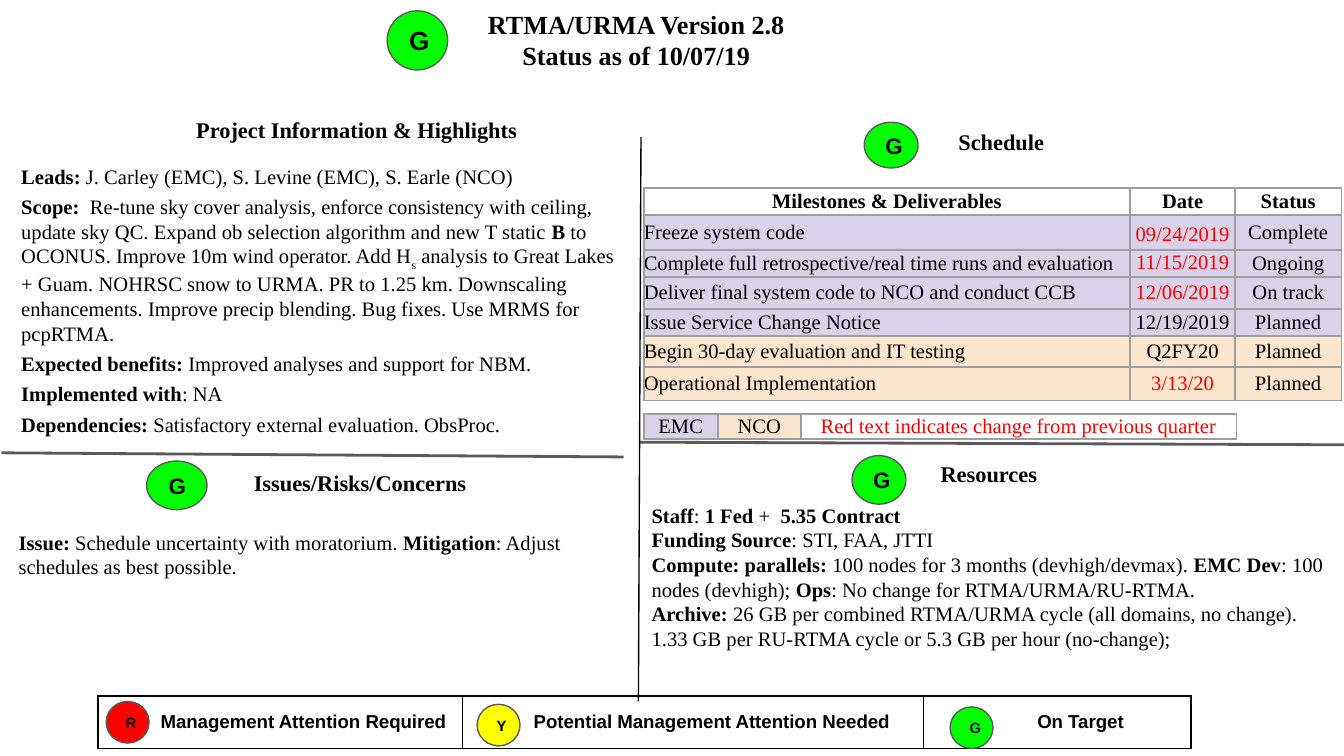
from lxml import etree
from pptx import Presentation
from pptx.dml.color import RGBColor
from pptx.enum import shapes, text
from pptx.oxml import ns
from pptx.util import Pt

COLORS = {
    "black": "000000", "red": "FF0000", "yellow": "FFFF00", "green": "00FF00",
    "gray": "595959", "border": "9E9E9E", "emc": "D9D2E9", "nco": "FCE5CD",
}
SERIF, SANS = "Times New Roman", "Arial"
LEFT, CENTER = text.PP_ALIGN.LEFT, text.PP_ALIGN.CENTER
TOP, MIDDLE = text.MSO_ANCHOR.TOP, text.MSO_ANCHOR.MIDDLE


def rgb(name):
    return RGBColor.from_string(COLORS[name])


def write(tf, paragraphs, size=11, font=SERIF, color="black", bold=False,
          align=LEFT, before=0, line=None):
    """Fill a text frame; *...* toggles bold and _..._ marks a subscript."""
    for i, content in enumerate(paragraphs):
        p = tf.paragraphs[0] if i == 0 else tf.add_paragraph()
        p.alignment = align
        if before and (i or line):
            p.space_before = Pt(before)
        if line:
            p.line_spacing = line
        for j, part in enumerate(content.split("*")):
            for k, piece in enumerate(part.split("_")):
                if not piece:
                    continue
                r = p.add_run()
                r.text = piece
                r.font.size, r.font.name = Pt(size), font
                r.font.bold = bold or j % 2 == 1
                r.font.color.rgb = rgb(color)
                if k % 2:
                    r._r.get_or_add_rPr().set("baseline", "-25000")


def set_frame(tf, anchor):
    tf.word_wrap = True
    tf.vertical_anchor = anchor
    tf.margin_left = tf.margin_right = tf.margin_top = tf.margin_bottom = Pt(7.2)


def add_text(s, x, y, w, h, paragraphs, anchor=TOP, **fmt):
    tf = s.shapes.add_textbox(Pt(x), Pt(y), Pt(w), Pt(h)).text_frame
    set_frame(tf, anchor)
    write(tf, paragraphs, **fmt)


def add_heading(s, x, y, w, h, *lines, size=12, align=CENTER):
    add_text(s, x, y, w, h, lines, MIDDLE, size=size, bold=True, align=align)


def add_badge(s, x, y, w, h, letter="G", fill="green", size=12, align=CENTER):
    sp = s.shapes.add_shape(shapes.MSO_SHAPE.OVAL, Pt(x), Pt(y), Pt(w), Pt(h))
    sp.shadow.inherit = False
    sp.fill.solid()
    sp.fill.fore_color.rgb = rgb(fill)
    sp.line.color.rgb = rgb("gray")
    sp.line.width = Pt(0.75)
    set_frame(sp.text_frame, MIDDLE)
    write(sp.text_frame, [letter], size=size, font=SANS, bold=True, align=align)


def add_line(s, x1, y1, x2, y2, color="gray", width=1.5):
    ln = s.shapes.add_connector(shapes.MSO_CONNECTOR.STRAIGHT,
                                Pt(x1), Pt(y1), Pt(x2), Pt(y2))
    ln.line.color.rgb = rgb(color)
    ln.line.width = Pt(width)
    etree.SubElement(ln._element.spPr, ns.qn("a:effectLst"))


def add_grid(s, x, y, cols, rows):
    tbl = s.shapes.add_table(len(rows), len(cols), Pt(x), Pt(y),
                             Pt(sum(cols)), Pt(sum(rows))).table
    tbl.first_row = tbl.horz_banding = False
    for col, w in zip(tbl.columns, cols):
        col.width = Pt(w)
    for row, h in zip(tbl.rows, rows):
        row.height = Pt(h)
    return tbl


def set_cell(cell, content, fill=None, border="border", indent=0, **fmt):
    cell.margin_left = Pt(indent)
    cell.margin_right = cell.margin_top = cell.margin_bottom = 0
    cell.vertical_anchor = MIDDLE
    # Borders come before the fill in the cell properties
    tcPr = cell._tc.get_or_add_tcPr()
    for side in ("lnL", "lnR", "lnT", "lnB"):
        ln = etree.SubElement(tcPr, ns.qn("a:" + side), w=str(Pt(1)))
        solid = etree.SubElement(ln, ns.qn("a:solidFill"))
        etree.SubElement(solid, ns.qn("a:srgbClr"), val=COLORS[border])
    if fill:
        cell.fill.solid()
        cell.fill.fore_color.rgb = rgb(fill)
    else:
        cell.fill.background()
    write(cell.text_frame, [content], **fmt)


def header(s, x, y):
    add_heading(s, x + 12.2, y - 0.7, 242.6, 43.9,
                "RTMA/URMA Version 2.8", "Status as of 10/07/19", size=14)
    add_badge(s, x, y + 5.8, 32.4, 31.7, size=14)


def project(s, x, y):
    add_heading(s, x + 90, y, 200.9, 22.3, "Project Information & Highlights")
    add_text(s, x + 3.6, y + 22.3, 338.4, 161.3, [
        "*Leads:* J. Carley (EMC), S. Levine (EMC), S. Earle (NCO)",
        "*Scope: * Re-tune sky cover analysis, enforce consistency with ceiling, "
        "update sky QC. Expand ob selection algorithm and new T static *B* to "
        "OCONUS. Improve 10m wind operator. Add H_s_ analysis to Great Lakes "
        "+ Guam. NOHRSC snow to URMA. PR to 1.25 km. Downscaling enhancements. "
        "Improve precip blending. Bug fixes. Use MRMS for pcpRTMA.",
        "*Expected benefits:* Improved analyses and support for NBM.",
        "*Implemented with*: NA",
        "*Dependencies:* Satisfactory external evaluation. ObsProc.",
    ], before=3)
    add_line(s, x, y + 184.3, x + 333.4, y + 186.5)


def issues(s, x, y):
    add_badge(s, x + 75.6, y, 32.4, 26)
    add_heading(s, x + 126, y + 1.4, 135.4, 20.2, "Issues/Risks/Concerns", align=LEFT)
    add_text(s, x, y + 29.5, 328.3, 66.2, [
        "*Issue:* Schedule uncertainty with moratorium. *Mitigation*: "
        "Adjust schedules as best possible."])


def schedule(s, x, y):
    add_badge(s, x + 118.1, y, 28.8, 24.5)
    add_heading(s, x + 156.2, y, 70.6, 20.2, "Schedule")

    # Milestones: task, date, status, owner, date format
    tight = {"color": "red", "line": 0.9}
    milestones = [
        ("Freeze system code", "09/24/2019", "Complete", "emc",
         {"color": "red", "line": 1.15, "before": 2}),
        ("Complete full retrospective/real time runs and evaluation",
         "11/15/2019", "Ongoing", "emc", tight),
        ("Deliver final system code to NCO and conduct CCB",
         "12/06/2019", "On track", "emc", tight),
        ("Issue Service Change Notice", "12/19/2019", "Planned", "emc", {}),
        ("Begin 30-day evaluation and IT testing", "Q2FY20", "Planned", "nco", {}),
        ("Operational Implementation", "3/13/20", "Planned", "nco", {"color": "red"}),
    ]
    tbl = add_grid(s, x, y + 35.3, [260.6, 56.2, 56.9],
                   [14.4, 18.7, 14.4, 17.3, 14.4, 16.6, 18])
    for c, title in enumerate(["Milestones & Deliverables", "Date", "Status"]):
        set_cell(tbl.cell(0, c), title, bold=True, align=CENTER)
    for i, (task, date, status, owner, fmt) in enumerate(milestones, 1):
        set_cell(tbl.cell(i, 0), task, owner)
        set_cell(tbl.cell(i, 1), date, owner, align=CENTER, **fmt)
        set_cell(tbl.cell(i, 2), status, owner, align=CENTER)

    # Colour key
    key = add_grid(s, x, y + 156.3, [39.6, 44.6, 233.3], [10.8])
    set_cell(key.cell(0, 0), "EMC", "emc", align=CENTER)
    set_cell(key.cell(0, 1), "NCO", "nco", align=CENTER)
    set_cell(key.cell(0, 2), "Red text indicates change from previous quarter",
             color="red", align=CENTER)
    add_line(s, x - 2.2, y + 171.4, x + 375.1, y + 172.8)


def resources(s, x, y):
    add_badge(s, x + 114.5, y + 0.7, 28.8, 26)
    add_heading(s, x + 154.8, y, 78.5, 20.2, "Resources", align=LEFT)
    add_text(s, x, y + 18.7, 379.4, 98.6, [
        "*Staff*: *1 Fed* +  *5.35 Contract*",
        "*Funding Source*: STI, FAA, JTTI",
        "*Compute: parallels:* 100 nodes for 3 months (devhigh/devmax). "
        "*EMC Dev*: 100 nodes (devhigh); *Ops*: No change for RTMA/URMA/RU-RTMA.",
        "*Archive:* 26 GB per combined RTMA/URMA cycle (all domains, no change). "
        "1.33 GB per RU-RTMA cycle or 5.3 GB per hour (no-change);",
    ])


def legend(s, x, y):
    # Label, indent, badge letter, colour and offset
    entries = [
        ("Management Attention Required", 24.6, "R", "red", 4.3, 2.8),
        ("Potential Management Attention Needed", 20, "Y", "yellow", 203, 4.3),
        ("On Target", 25, "G", "green", 456.4, 5.7),
    ]
    tbl = add_grid(s, x, y, [195.1, 247, 143.3], [28.1])
    for c, (label, indent, letter, fill, dx, dy) in enumerate(entries):
        set_cell(tbl.cell(0, c), label, border="black", indent=indent,
                 size=10, font=SANS, bold=True, align=CENTER)
        add_badge(s, x + dx, y + dy, 23, 22.3, letter, fill, size=8, align=LEFT)


def main():
    prs = Presentation()
    prs.slide_width, prs.slide_height = Pt(720), Pt(405)
    s = prs.slides.add_slide(prs.slide_layouts[6])
    header(s, 207.4, 0)
    project(s, 0.7, 58.3)
    issues(s, 2.9, 247)
    schedule(s, 344.9, 65.5)
    resources(s, 342, 243.4)
    legend(s, 52.6, 373)
    # Divider between the two columns
    add_line(s, 343.4, 73.4, 342, 375.8, color="black", width=0.75)
    prs.save("out.pptx")


if __name__ == "__main__":
    main()
